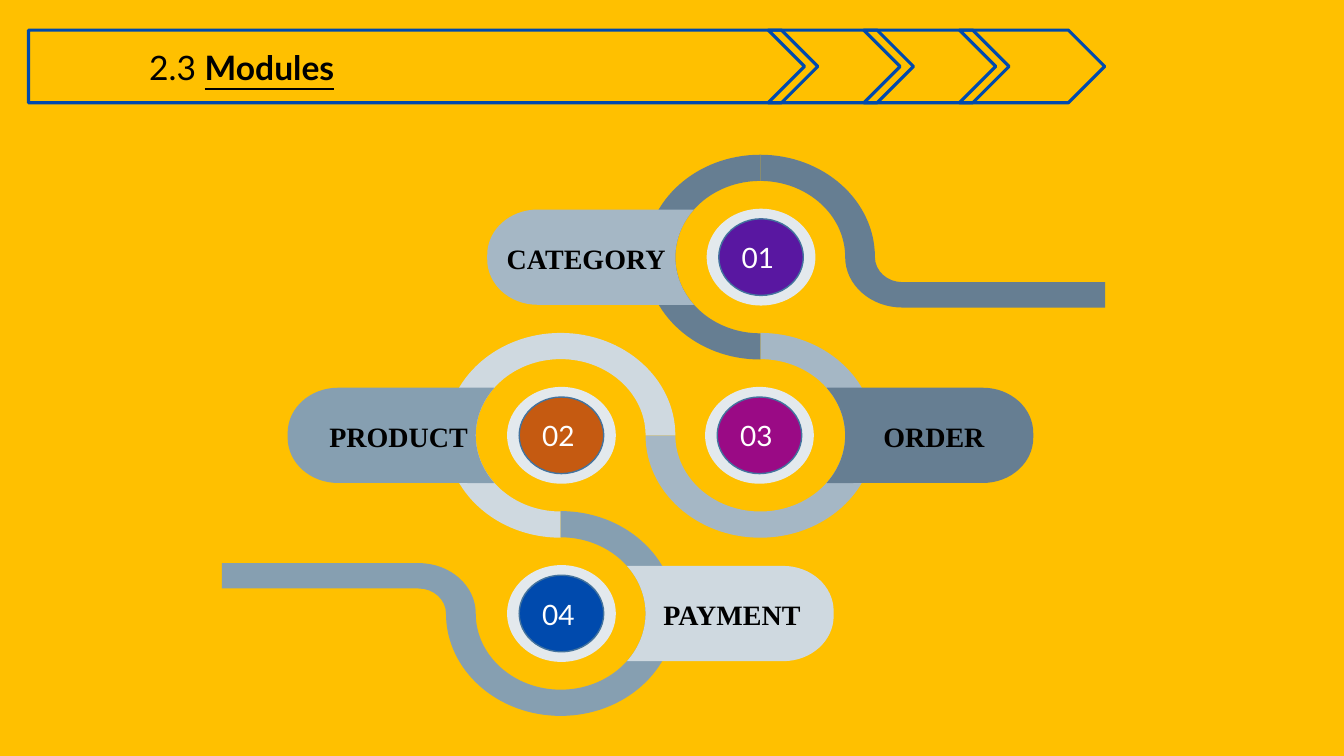
from itertools import pairwise
from math import ceil, cos, radians, sin, tan

from lxml import etree
from pptx import Presentation
from pptx.dml.color import RGBColor
from pptx.enum.shapes import MSO_SHAPE as Preset
from pptx.enum.text import MSO_ANCHOR as Anchor, MSO_AUTO_SIZE as AutoSize, PP_ALIGN as Align
from pptx.oxml.ns import qn
from pptx.util import Cm, Pt

AMBER = RGBColor(0xFF, 0xC0, 0x00)
BLUE = RGBColor(0x00, 0x4A, 0xAD)
OUTLINE = RGBColor(0x43, 0x73, 0x9E)
SLATE = RGBColor(0x66, 0x7E, 0x92)
STEEL = RGBColor(0x86, 0x9F, 0xB1)
MIST = RGBColor(0xA5, 0xB7, 0xC5)
PALE = RGBColor(0xCF, 0xD9, 0xE0)
FROST = RGBColor(0xE3, 0xE9, 0xED)
PURPLE = RGBColor(0x59, 0x17, 0xA1)
ORANGE = RGBColor(0xC5, 0x5A, 0x11)
MAGENTA = RGBColor(0x9A, 0x0A, 0x85)
BLACK = RGBColor(0x00, 0x00, 0x00)
WHITE = RGBColor(0xFF, 0xFF, 0xFF)

TITLE = [("2.3 ", {}), ("Modules", {"bold": True, "underline": True})]
MODULES = [
    {"number": "03", "label": "ORDER", "column": 1, "row": 1, "turn": -1, "side": 1,
     "cuts": (90, 360), "tail": 0, "ring": MIST, "pill": SLATE, "knob": MAGENTA,
     "knob_shift": -0.02, "label_left": 22.01, "label_width": 6.27},
    {"number": "02", "label": "PRODUCT", "column": 0, "row": 1, "turn": 1, "side": -1,
     "cuts": (90, 360), "tail": 0, "ring": PALE, "pill": STEEL, "knob": ORANGE,
     "knob_shift": 0.02, "label_left": 8.05, "label_width": 6.2},
    {"number": "01", "label": "CATEGORY", "column": 1, "row": 0, "turn": 1, "side": -1,
     "cuts": (90, 270, 360), "tail": 8.69, "ring": SLATE, "pill": MIST, "knob": PURPLE,
     "knob_shift": 0.02, "label_left": 12.52, "label_width": 4.55},
    {"number": "04", "label": "PAYMENT", "column": 0, "row": 2, "turn": -1, "side": 1,
     "cuts": (90, 360), "tail": 8.54, "ring": STEEL, "pill": PALE, "knob": BLUE,
     "knob_shift": 0.02, "label_left": 16.47, "label_width": 6.27},
]

TITLE_FONT = {"name": "Lato", "size": Pt(24), "bold": False}
LABEL_FONT = {"name": "Times New Roman", "size": Pt(20), "bold": True}
NUMBER_FONT = {"name": "Lato", "size": Pt(20), "bold": False}

LEFT, TOP = 14.13, 6.48
ROW_STEP = 4.49
OUTER, INNER = (2.89, 2.58), (2.14, 1.92)
COLUMN_STEP = OUTER[0] + INNER[0]
ELBOW_X = 3.58
PILL_REACH, PILL_HALF = 6.88, 1.2
CORNER = (1.27, 1.14)
PILL_ANGLE = 38.7
TEXT_HEIGHT = 1.12

HEADER_LEFT, HEADER_TOP, HEADER_HEIGHT = 0.72, 0.76, 1.83
PLATE_WIDTH = 19.89
CHEVRON_LEFT, CHEVRON_STEP, CHEVRON_WIDTH = 19.36, 2.41, 3.66


def arc(center, radii, start, end):
    def place(x, y):
        return center[0] + radii[0] * x, center[1] + radii[1] * y

    pieces = ceil(abs(end - start) / 90)
    step = radians(end - start) / pieces
    pull = 4 / 3 * tan(step / 4)
    segments = [(place(cos(radians(start)), sin(radians(start))),)]
    for i in range(pieces):
        a = radians(start) + i * step
        b = a + step
        segments.append((place(cos(a) - pull * sin(a), sin(a) + pull * cos(a)),
                         place(cos(b) + pull * sin(b), sin(b) - pull * cos(b)),
                         place(cos(b), sin(b))))
    return segments


def ring_segments(start, end, tail):
    segments = arc((0, 0), OUTER, start, end)
    if tail:
        center = (ELBOW_X, 0)
        segments += arc(center, (ELBOW_X - OUTER[0], 0.63), 180, 90)[1:]
        segments += [((tail, 0.63),), ((tail, 1.27),)]
        segments += arc(center, (ELBOW_X - INNER[0], 1.27), 90, 180)
        return segments + arc((0, 0), INNER, end, start)[1:]
    return segments + arc((0, 0), INNER, end, start)


def pill_segments():
    corner_x, corner_y = PILL_REACH - CORNER[0], PILL_HALF - CORNER[1]
    return (arc((0, 0), INNER, PILL_ANGLE, -PILL_ANGLE)
            + arc((corner_x, -corner_y), CORNER, -90, 0)
            + arc((corner_x, corner_y), CORNER, 0, 90))


def style(shape, fill=None, line=None, width=1):
    shape.shadow.inherit = False
    if fill is None:
        shape.fill.background()
    else:
        shape.fill.solid()
        shape.fill.fore_color.rgb = fill
    if line is None:
        shape.line.fill.background()
    else:
        shape.line.color.rgb = line
        shape.line.width = Pt(width)


def add_outline(slide, segments, center, flip_x, flip_y, fill):
    points = [(Cm(center[0] + flip_x * x), Cm(center[1] + flip_y * y))
              for segment in segments for x, y in segment]
    builder = slide.shapes.build_freeform(*points[0], scale=1.0)
    builder.add_line_segments(points[1:], close=True)
    shape = builder.convert_to_shape()
    style(shape, fill)
    steps = iter(list(shape._element.iter(qn("a:lnTo"))))
    for segment in segments[1:]:
        group = [next(steps) for _ in segment]
        if len(group) == 3:
            curve = etree.Element(qn("a:cubicBezTo"))
            group[0].addprevious(curve)
            for step in group:
                curve.append(step[0])
                step.getparent().remove(step)


def add_ellipse(slide, center, width, height, fill, line=None):
    box = (center[0] - width / 2, center[1] - height / 2, width, height)
    style(slide.shapes.add_shape(Preset.OVAL, *map(Cm, box)), fill, line)


def add_run(paragraph, text, font_values, color):
    run = paragraph.add_run()
    run.text = text
    run.font.color.rgb = color
    for name, value in font_values.items():
        setattr(run.font, name, value)


def add_text(slide, text, left, middle, width, font_values, color):
    box = (left, middle - TEXT_HEIGHT / 2, width, TEXT_HEIGHT)
    frame = slide.shapes.add_textbox(*map(Cm, box)).text_frame
    frame.word_wrap = True
    add_run(frame.paragraphs[0], text, font_values, color)


def add_header(slide):
    boxes = [(Preset.PENTAGON, HEADER_LEFT, PLATE_WIDTH)]
    boxes += [(Preset.CHEVRON, CHEVRON_LEFT + i * CHEVRON_STEP, CHEVRON_WIDTH) for i in range(3)]
    for preset, left, width in boxes:
        shape = slide.shapes.add_shape(
            preset, Cm(left), Cm(HEADER_TOP), Cm(width), Cm(HEADER_HEIGHT))
        shape.adjustments[0] = 0.5
        style(shape, line=BLUE, width=2.25)

    title = slide.shapes.title
    place = {"left": Cm(0.97), "top": Cm(1.02), "width": Cm(15.72), "height": Cm(1.32)}
    for name, value in place.items():
        setattr(title, name, value)
    frame = title.text_frame
    layout = {"margin_left": Cm(2.79), "vertical_anchor": Anchor.MIDDLE,
              "auto_size": AutoSize.NONE, "word_wrap": True}
    for name, value in layout.items():
        setattr(frame, name, value)
    paragraph = frame.paragraphs[0]
    paragraph.alignment = Align.LEFT
    for text, extra in TITLE:
        add_run(paragraph, text, {**TITLE_FONT, **extra}, BLACK)


def add_module(slide, module):
    center = (LEFT + module["column"] * COLUMN_STEP, TOP + module["row"] * ROW_STEP)
    knob = (center[0] + module["knob_shift"], center[1])
    turn = module["turn"]
    for start, end in pairwise(module["cuts"]):
        tail = module["tail"] if end == 360 else 0
        add_outline(slide, ring_segments(start, end, tail), center, turn, turn, module["ring"])
    add_outline(slide, pill_segments(), center, module["side"], 1, module["pill"])
    add_ellipse(slide, knob, 2.74, 2.44, FROST)
    add_ellipse(slide, knob, 2.13, 1.93, module["knob"], OUTLINE)
    add_text(slide, module["number"], knob[0] - 0.74, center[1] + 0.02, 1.58, NUMBER_FONT, WHITE)
    add_text(slide, module["label"], module["label_left"], center[1] + 0.03,
             module["label_width"], LABEL_FONT, BLACK)


presentation = Presentation()
presentation.slide_width = Cm(33.87)
presentation.slide_height = Cm(19.05)
slide = presentation.slides.add_slide(presentation.slide_layouts[5])
slide.background.fill.solid()
slide.background.fill.fore_color.rgb = AMBER
for module in MODULES:
    add_module(slide, module)
add_header(slide)
presentation.save("out.pptx")
